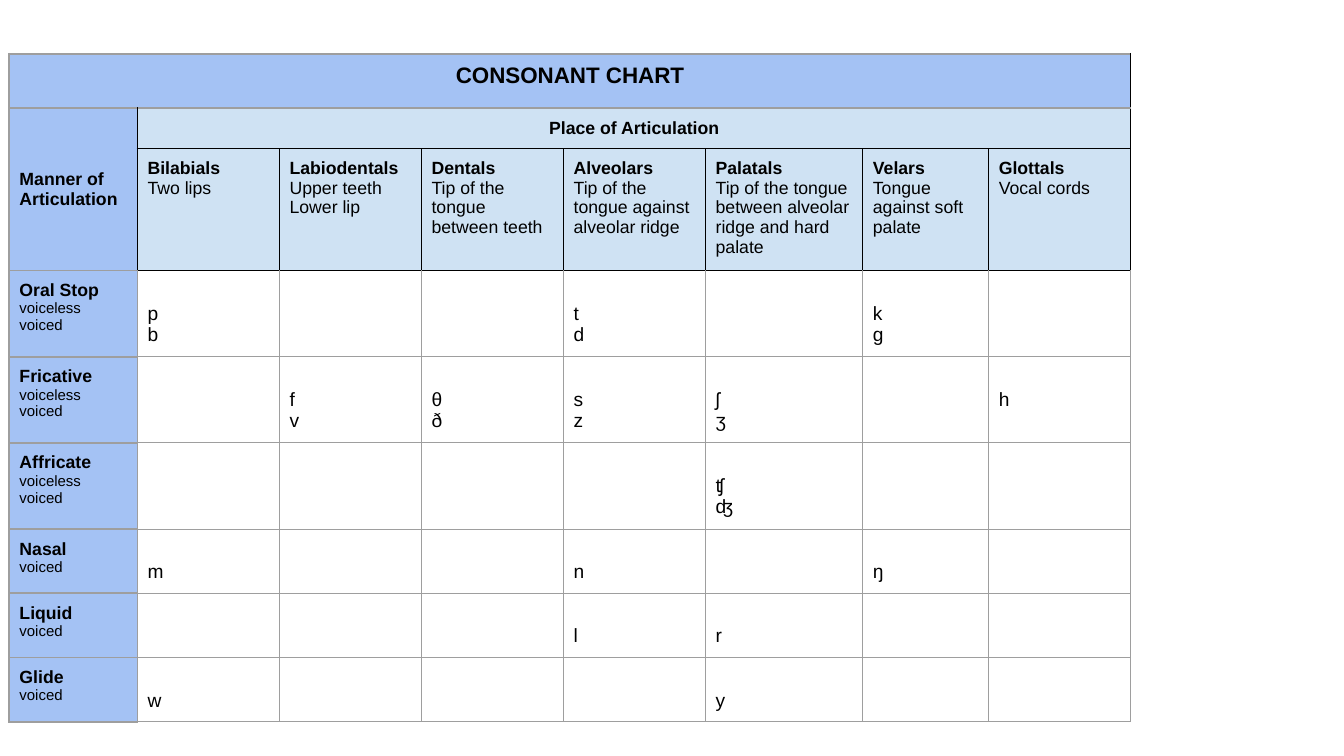
from lxml.etree import SubElement as Sub
from pptx import Presentation as Deck
from pptx.dml.color import RGBColor as Rgb
from pptx.enum.text import MSO_ANCHOR as Anchor, PP_ALIGN as Align
from pptx.oxml.ns import qn
from pptx.util import Inches, Pt

# Shares of the slide, in percent
LEFT, TOP = 0.7, 7.1
COLS = [9.53] + [10.57] * 4 + [11.7, 9.37, 10.57]
ROWS = [7.2, 5.37, 16.13] + [11.4] * 3 + [8.5] * 3

# Text
PLACES = [
    ("Bilabials", "Two lips"),
    ("Labiodentals", "Upper teeth", "Lower lip"),
    ("Dentals", "Tip of the tongue between teeth"),
    ("Alveolars", "Tip of the tongue against alveolar ridge"),
    ("Palatals", "Tip of the tongue between alveolar ridge and hard palate"),
    ("Velars", "Tongue against soft palate"),
    ("Glottals", "Vocal cords"),
]
PAIR = ["voiceless", "voiced"]
MANNERS = [
    ("Oral Stop", PAIR, {1: "pb", 4: "td", 6: "kg"}),
    ("Fricative", PAIR, {2: "fv", 3: "θð", 4: "sz", 5: "ʃʒ", 7: "h"}),
    ("Affricate", PAIR, {5: "ʧʤ"}),
    ("Nasal", PAIR[1:], {1: "m", 4: "n", 6: "ŋ"}),
    ("Liquid", PAIR[1:], {4: "l", 5: "r"}),
    ("Glide", PAIR[1:], {1: "w", 5: "y"}),
]


def color(code):
    return Rgb.from_string(code)


class Page:
    font = "Arial"
    ink, grey, blue, pale = "000000", "9E9E9E", "A4C2F4", "CFE2F3"
    title, head, sound, note = 16, 12.67, 13.67, 10.67
    thin, thick = 0.75, 1.5
    pad, drop = 0.1, 0.32

    def __init__(self, deck):
        self.deck = deck
        self.slide = deck.slides.add_slide(deck.slide_layouts[6])

    def wide(self, share):
        return round(self.deck.slide_width * share / 100)

    def high(self, share):
        return round(self.deck.slide_height * share / 100)

    def table(self, left, top, cols, rows):
        frame = self.slide.shapes.add_table(
            len(rows), len(cols), self.wide(left), self.high(top),
            self.wide(sum(cols)), self.high(sum(rows)))
        grid = frame.table
        grid.first_row = grid.horz_banding = False
        for col, share in zip(grid.columns, cols):
            col.width = self.wide(share)
        for row, share in zip(grid.rows, rows):
            row.height = self.high(share)
        return grid

    def edges(self, cell, **sides):
        props = cell._tc.get_or_add_tcPr()
        for side in "LRTB":
            code, width = sides[side]
            line = Sub(props, qn("a:ln" + side), w=str(Pt(width)))
            Sub(Sub(line, qn("a:solidFill")), qn("a:srgbClr"), val=code)

    def paint(self, cell, fill):
        if fill:
            cell.fill.solid()
            cell.fill.fore_color.rgb = color(fill)
        else:
            cell.fill.background()

    def label(self, cell, lines, align=Align.LEFT, top=pad):
        """Each line is a (text, size, bold) triple."""
        cell.margin_left = cell.margin_right = Inches(self.pad)
        cell.margin_top, cell.margin_bottom = Inches(top), Inches(self.pad)
        frame = cell.text_frame
        for i, (text, size, bold) in enumerate(lines):
            para = frame.add_paragraph() if i else frame.paragraphs[0]
            para.text, para.alignment = text, align
            font = para.font
            font.name, font.size, font.bold = self.font, Pt(size), bold
            font.color.rgb = color(self.ink)

    def dress(self, grid):
        """Borders and fills follow from a cell's row and column."""
        soft, firm = (self.grey, self.thin), (self.grey, self.thick)
        dark, heavy = (self.ink, self.thin), (self.ink, self.thick)
        for r, row in enumerate(grid.rows):
            for c, cell in enumerate(row.cells):
                if r == 0:
                    sides, fill = dict(L=firm, R=dark, T=firm, B=firm), self.blue
                elif c == 0:
                    side = heavy if r < 3 else firm
                    sides, fill = dict(L=firm, R=side, T=firm, B=firm), self.blue
                elif r < 3:
                    sides = dict(L=heavy if c == 1 else dark, R=dark,
                                 T=firm if r == 1 else dark, B=dark)
                    fill = self.pale
                else:
                    sides = dict(L=firm if c == 1 else soft, R=soft,
                                 T=dark if r == 3 else soft, B=soft)
                    fill = None
                self.edges(cell, **sides)
                self.paint(cell, fill)


def main():
    deck = Deck()
    deck.slide_width, deck.slide_height = Inches(13.33), Inches(7.5)
    page = Page(deck)
    grid = page.table(LEFT, TOP, COLS, ROWS)
    page.dress(grid)

    # Merged headings
    last = len(COLS) - 1
    grid.cell(0, 0).merge(grid.cell(0, last))
    grid.cell(1, 0).merge(grid.cell(2, 0))
    grid.cell(1, 1).merge(grid.cell(1, last))
    page.label(grid.cell(0, 0), [("CONSONANT CHART", page.title, True)], Align.CENTER)
    page.label(grid.cell(1, 0), [("Manner of Articulation", page.head, True)])
    grid.cell(1, 0).vertical_anchor = Anchor.MIDDLE
    page.label(grid.cell(1, 1), [("Place of Articulation", page.head, True)], Align.CENTER)

    # Places of articulation
    for c, (name, *tips) in enumerate(PLACES, 1):
        page.label(grid.cell(2, c), [(name, page.head, True)]
                   + [(tip, page.head, False) for tip in tips])

    # Manners and their sounds
    for r, (name, notes, sounds) in enumerate(MANNERS, 3):
        page.label(grid.cell(r, 0), [(name, page.head, True)]
                   + [(note, page.note, False) for note in notes])
        for c, signs in sounds.items():
            page.label(grid.cell(r, c), [(sign, page.sound, False) for sign in signs],
                       top=page.drop)

    deck.save("out.pptx")


if __name__ == "__main__":
    main()
